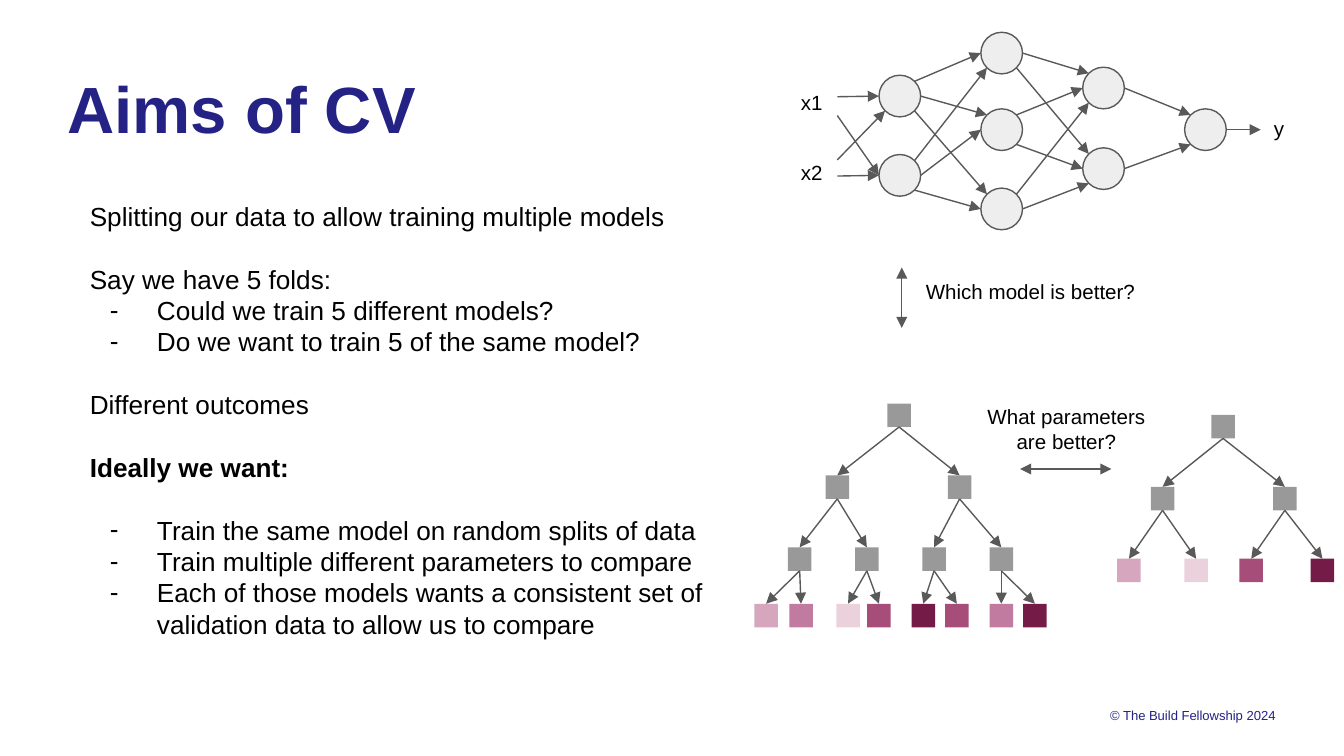
from dataclasses import dataclass
from math import sqrt

from lxml import etree
from pptx import Presentation
from pptx.dml.color import RGBColor
from pptx.enum.shapes import MSO_CONNECTOR, MSO_SHAPE
from pptx.enum.text import MSO_ANCHOR, PP_ALIGN
from pptx.oxml.ns import qn
from pptx.util import Inches, Pt

LEFT, CENTER, RIGHT = PP_ALIGN.LEFT, PP_ALIGN.CENTER, PP_ALIGN.RIGHT
TOP, MIDDLE = MSO_ANCHOR.TOP, MSO_ANCHOR.MIDDLE
OVAL, RECTANGLE = MSO_SHAPE.OVAL, MSO_SHAPE.RECTANGLE
STRAIGHT = MSO_CONNECTOR.STRAIGHT
BOTTOM_SITE, TOP_SITE = 2, 0
COLUMNS, ROWS = 100, 56.25


@dataclass(frozen=True)
class Theme:
    font: str = "Arial"
    brand: str = "242385"
    text: str = "000000"
    line: str = "595959"
    neuron: str = "EEEEEE"
    branch: str = "999999"
    title_size: float = 35
    body_size: float = 14
    label_size: float = 11
    footer_size: float = 7
    line_width: float = 0.75
    spacing: float = 1.2


# Leaf shades, from light to dark
PALE, LIGHT, MEDIUM, STRONG, DARK = "EAD1DC", "D5A6BD", "C27BA0", "A64D79", "741B47"

# Body lines: text, bulleted, bold, one line of space before
BODY = [
    ("Splitting our data to allow training multiple models", False, False, False),
    ("Say we have 5 folds:", False, False, True),
    ("Could we train 5 different models?", True, False, False),
    ("Do we want to train 5 of the same model?", True, False, False),
    ("Different outcomes", False, False, True),
    ("Ideally we want:", False, True, True),
    ("Train the same model on random splits of data", True, False, True),
    ("Train multiple different parameters to compare", True, False, False),
    ("Each of those models wants a consistent set of validation data "
     "to allow us to compare", True, False, False),
]

# Network: centre rows of each layer, and edges as (layer, from, port, to, port)
NEURON_SIZE, FIRST_LAYER, LAYER_STEP = 3.1, 66.95, 7.58
LAYERS = [[7.15, 13.05], [3.95, 9.65, 15.55], [6.55, 12.55], [9.65]]
EDGES = [
    (0, 0, "ne", 0, "w"), (0, 0, "e", 1, "nw"), (0, 0, "se", 2, "nw"),
    (0, 1, "ne", 0, "sw"), (0, 1, "e", 1, "w"), (0, 1, "se", 2, "w"),
    (1, 0, "e", 0, "nw"), (1, 0, "se", 1, "nw"), (1, 1, "ne", 0, "w"),
    (1, 1, "se", 1, "w"), (1, 2, "e", 1, "sw"), (1, 2, "ne", 0, "sw"),
    (2, 0, "e", 0, "nw"), (2, 1, "e", 0, "sw"),
]
INPUT_COLUMN, OUTPUT_COLUMN = 62.3, 93.8
INPUTS = [(7.2, 0, "w"), (8.6, 1, "w"), (13.1, 1, "w"), (11.9, 0, "sw")]

# Trees: each node is (centre column, children), each leaf (centre column, shade)
SQUARE = 1.75
LARGE_TREE = (66.9, [
    (62.3, [(59.5, [(57.0, LIGHT), (59.6, MEDIUM)]),
            (64.5, [(63.1, PALE), (65.4, STRONG)])]),
    (71.4, [(69.5, [(68.7, DARK), (71.2, STRONG)]),
            (74.5, [(74.5, MEDIUM), (77.0, DARK)])]),
])
SMALL_TREE = (91.0, [
    (86.5, [(84.0, LIGHT), (89.0, PALE)]),
    (95.6, [(93.1, STRONG), (98.4, DARK)]),
])


class SlideBuilder:
    def __init__(self, presentation, theme):
        self.theme = theme
        self.column = presentation.slide_width / COLUMNS
        self.row = presentation.slide_height / ROWS
        self.slide = presentation.slides.add_slide(presentation.slide_layouts[6])

    def place(self, *lengths):
        units = (self.column, self.row) * 2
        return [round(length * unit) for length, unit in zip(lengths, units)]

    def text(self, box, lines, size, color=None, align=LEFT, anchor=TOP,
             inset=0.1, bold=False, spacing=None):
        shape = self.slide.shapes.add_textbox(*self.place(*box))
        frame = shape.text_frame
        margin = Inches(inset)
        frame_format = dict(word_wrap=True, vertical_anchor=anchor, margin_left=margin,
                            margin_right=margin, margin_top=margin, margin_bottom=margin)
        for name, value in frame_format.items():
            setattr(frame, name, value)
        pitch = Pt(size * (spacing or self.theme.spacing))
        for index, (words, bulleted, strong, gap) in enumerate(lines):
            paragraph = frame.add_paragraph() if index else frame.paragraphs[0]
            if bulleted:
                self.bullet(paragraph)
            paragraph_format = dict(alignment=align, line_spacing=pitch,
                                    space_before=pitch if gap else Pt(0))
            for name, value in paragraph_format.items():
                setattr(paragraph, name, value)
            run = paragraph.add_run()
            run.text = words
            run_format = dict(name=self.theme.font, size=Pt(size), bold=bold or strong)
            for name, value in run_format.items():
                setattr(run.font, name, value)
            run.font.color.rgb = RGBColor.from_string(color or self.theme.text)

    def bullet(self, paragraph):
        properties = paragraph._p.get_or_add_pPr()
        properties.set("marL", str(Inches(0.5)))
        properties.set("indent", str(Inches(-0.35)))
        color = etree.SubElement(properties, qn("a:buClr"))
        etree.SubElement(color, qn("a:srgbClr"), val=self.theme.text)
        etree.SubElement(properties, qn("a:buFont"), typeface=self.theme.font)
        etree.SubElement(properties, qn("a:buChar"), char="-")

    def label(self, box, words, align=LEFT):
        self.text(box, [(words, False, False, False)], self.theme.label_size, align=align)

    def node(self, kind, x, y, size, fill, outlined=False):
        """Draw a square-bounded shape centred on column x and row y."""
        box = self.place(x - size / 2, y - size / 2, size, size)
        shape = self.slide.shapes.add_shape(kind, *box)
        shape.shadow.inherit = False
        shape.fill.solid()
        shape.fill.fore_color.rgb = RGBColor.from_string(fill)
        if outlined:
            shape.line.color.rgb = RGBColor.from_string(self.theme.line)
            shape.line.width = Pt(self.theme.line_width)
        else:
            shape.line.fill.background()
        return shape

    def arrow(self, start, end, double=False):
        connector = self.slide.shapes.add_connector(STRAIGHT, *self.place(*start, *end))
        connector.line.color.rgb = RGBColor.from_string(self.theme.line)
        connector.line.width = Pt(self.theme.line_width)
        line = connector.line._get_or_add_ln()
        for tag in ("a:headEnd", "a:tailEnd") if double else ("a:tailEnd",):
            etree.SubElement(line, qn(tag), type="triangle")
        etree.SubElement(connector._element.spPr, qn("a:effectLst"))
        return connector

    def port(self, layer, index, side):
        """Return the point on a neuron's rim that faces a compass side."""
        across = ("e" in side) - ("w" in side)
        down = ("s" in side) - ("n" in side)
        reach = NEURON_SIZE / 2 / sqrt(across ** 2 + down ** 2)
        return (FIRST_LAYER + layer * LAYER_STEP + across * reach,
                LAYERS[layer][index] + down * reach)

    def network(self):
        for layer, rows in enumerate(LAYERS):
            for y in rows:
                self.node(OVAL, FIRST_LAYER + layer * LAYER_STEP, y, NEURON_SIZE,
                          self.theme.neuron, outlined=True)
        for y, index, side in INPUTS:
            self.arrow((INPUT_COLUMN, y), self.port(0, index, side))
        for layer, source, exit_side, target, entry_side in EDGES:
            self.arrow(self.port(layer, source, exit_side),
                       self.port(layer + 1, target, entry_side))
        output = self.port(3, 0, "e")
        self.arrow(output, (OUTPUT_COLUMN, output[1]))

    def tree(self, branch, levels):
        x, content = branch
        is_leaf = isinstance(content, str)
        parent = self.node(RECTANGLE, x, levels[0], SQUARE,
                           content if is_leaf else self.theme.branch)
        for child in () if is_leaf else content:
            square = self.tree(child, levels[1:])
            edge = self.arrow((x, levels[0]), (child[0], levels[1]))
            edge.begin_connect(parent, BOTTOM_SITE)
            edge.end_connect(square, TOP_SITE)
        return parent


def main():
    presentation = Presentation()
    presentation.slide_width, presentation.slide_height = Inches(10), Inches(5.625)
    theme = Theme()
    builder = SlideBuilder(presentation, theme)

    # Footer, title and body
    builder.text((5, 52.4, 89.9, 1.6), [("© The Build Fellowship 2024", False, False, False)],
                 theme.footer_size, theme.brand, RIGHT, MIDDLE, inset=0)
    builder.text((5, 4.8, 72.8, 11.5), [("Aims of CV", False, False, False)],
                 theme.title_size, theme.brand, inset=0, bold=True, spacing=1.25)
    builder.text((5.7, 13.9, 50.4, 33.3), BODY, theme.body_size)

    # Neural network
    builder.network()
    for words, x, y in [("x1", 58.6, 5.8), ("x2", 58.6, 11), ("y", 93.8, 7.7)]:
        builder.label((x, y, 5.2, 2.7), words)

    # Comparison of models
    builder.arrow((67.1, 19.9), (67.1, 24.4), double=True)
    builder.label((67.9, 19.8, 21.7, 4.8), "Which model is better?")

    # Decision trees and comparison of parameters
    builder.tree(LARGE_TREE, [30.9, 36.25, 41.6, 45.8])
    builder.tree(SMALL_TREE, [31.75, 37.1, 42.45])
    builder.label((72.2, 29.1, 14.3, 3.6), "What parameters are better?", CENTER)
    builder.arrow((75.9, 34.9), (82.7, 34.9), double=True)

    presentation.save("out.pptx")


if __name__ == "__main__":
    main()
